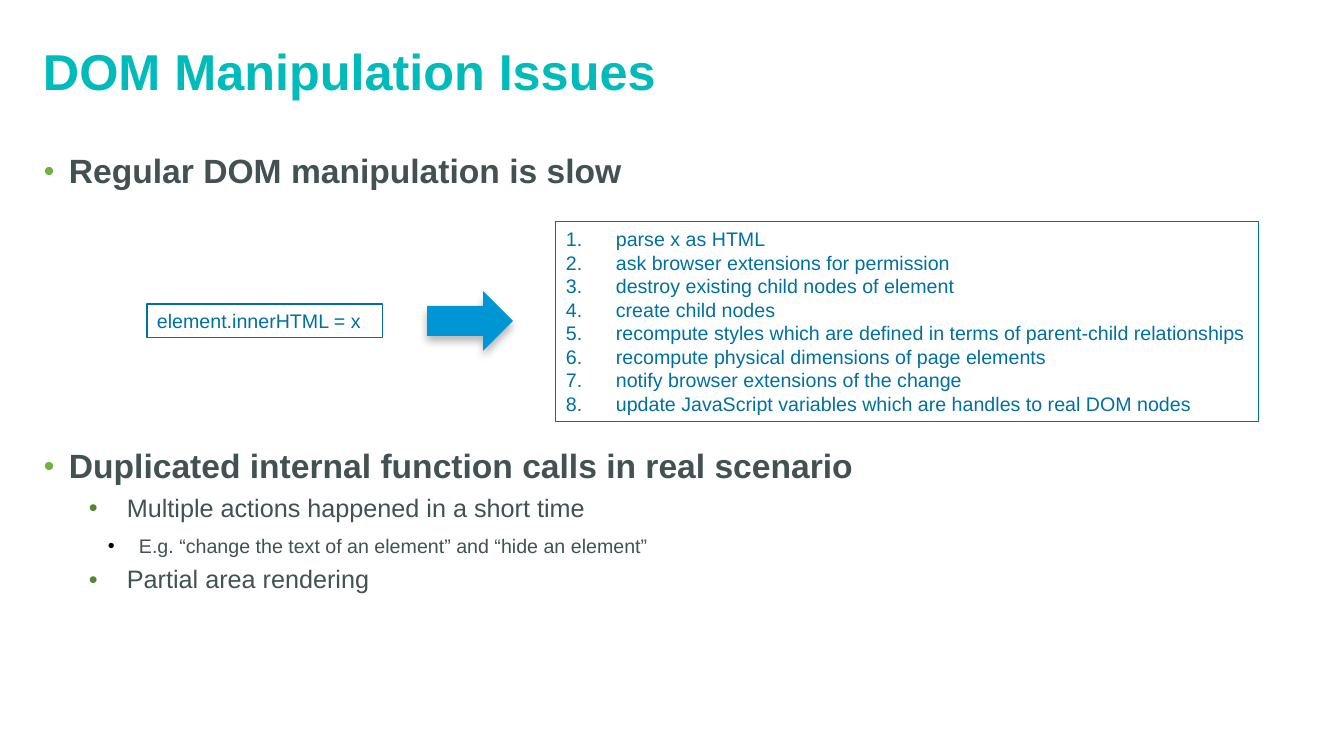
from dataclasses import dataclass
from typing import Optional

import pptx
import pptx.dml.color
import pptx.enum.shapes
import pptx.enum.text
import pptx.oxml
import pptx.oxml.ns
import pptx.util

SCALE = 914400 / 100.8


@dataclass(frozen=True)
class Theme:
    font: str = "Arial"
    title: str = "01BBBB"
    body: str = "435153"
    code: str = "0070A0"
    arrow: str = "0096D6"
    shade: str = "000000"
    huge: int = 36
    large: int = 24
    mid: int = 18
    small: int = 14


@dataclass(frozen=True)
class Box:
    left: int
    top: int
    width: int
    height: int


@dataclass(frozen=True)
class Style:
    size: int
    color: str
    bold: bool = False
    level: int = 0
    indent: int = 0
    hang: int = 0
    line: float = 1.0
    before: float = 0
    bullet: str = ""
    tint: Optional[str] = None
    ratio: int = 100


@dataclass(frozen=True)
class Item:
    text: str
    style: Style


THEME = Theme()
TITLE = Style(THEME.huge, THEME.title, bold=True, line=0.8)
HEAD = Style(THEME.large, THEME.body, True, 0, 25, 25, 0.95, 14.8, "•", "6DB344", 90)
POINT = Style(THEME.mid, THEME.body, False, 1, 83, 38, 0.95, 6, "•", "528633")
NOTE = Style(THEME.small, THEME.body, False, 2, 95, 31, 0.95, 8.4, "•", "000000")
CODE = Style(THEME.small, THEME.code)
STEP = Style(THEME.small, THEME.code, indent=50, hang=50, bullet="1.")

STEPS = [
    "parse x as HTML",
    "ask browser extensions for permission",
    "destroy existing child nodes of element",
    "create child nodes",
    "recompute styles which are defined in terms of parent-child relationships",
    "recompute physical dimensions of page elements",
    "notify browser extensions of the change",
    "update JavaScript variables which are handles to real DOM nodes",
]

TEXTS = [
    (Box(33, 47, 1261, 93), [Item("DOM Manipulation Issues", TITLE)]),
    (Box(34, 148, 1259, 52), [Item("Regular DOM manipulation is slow", HEAD)]),
    (Box(34, 443, 1259, 252), [
        Item("Duplicated internal function calls in real scenario", HEAD),
        Item("Multiple actions happened in a short time", POINT),
        Item("E.g. “change the text of an element” and “hide an element”", NOTE),
        Item("Partial area rendering", POINT),
    ]),
]
FRAMES = [
    (Box(147, 304, 236, 34), [Item("element.innerHTML = x", CODE)]),
    (Box(556, 222, 703, 200), [Item(step, STEP) for step in STEPS]),
]
ARROW = Box(427, 291, 86, 60)


def px(count: int) -> int:
    return round(count * SCALE)


def rgb(color: str) -> pptx.dml.color.RGBColor:
    return pptx.dml.color.RGBColor.from_string(color)


def place(box: Box) -> tuple[int, int, int, int]:
    return px(box.left), px(box.top), px(box.width), px(box.height)


def add_tag(parent, tag: str, **attrs: object):
    """Append a DrawingML element and return it."""
    child = parent.makeelement(pptx.oxml.ns.qn(f"a:{tag}"),
                               {key: str(val) for key, val in attrs.items()})
    parent.append(child)
    return child


def add_bullet(para, style: Style) -> None:
    props = para._p.get_or_add_pPr()
    props.set("marL", str(px(style.indent)))
    props.set("indent", str(-px(style.hang)))
    if style.tint:
        add_tag(add_tag(props, "buClr"), "srgbClr", val=style.tint)
    if style.ratio != 100:
        add_tag(props, "buSzPct", val=style.ratio * 1000)
    add_tag(props, "buFont", typeface=THEME.font)
    if style.bullet == "1.":
        add_tag(props, "buAutoNum", type="arabicPeriod")
    else:
        add_tag(props, "buChar", char=style.bullet)


def write(shape, items: list[Item]) -> None:
    frame = shape.text_frame
    frame.word_wrap = True
    frame.vertical_anchor = pptx.enum.text.MSO_ANCHOR.TOP
    for rank, item in enumerate(items):
        style = item.style
        para = frame.add_paragraph() if rank else frame.paragraphs[0]
        if style.bullet:
            add_bullet(para, style)
        para.level = style.level
        para.alignment = pptx.enum.text.PP_ALIGN.LEFT
        para.line_spacing = style.line
        para.space_before = pptx.util.Pt(style.before if rank else 0)
        run = para.add_run()
        run.text = item.text
        run.font.name = THEME.font
        run.font.size = pptx.util.Pt(style.size)
        run.font.bold = style.bold
        run.font.color.rgb = rgb(style.color)


def add_frame(slide, box: Box, items: list[Item]) -> None:
    kind = pptx.enum.shapes.MSO_SHAPE.RECTANGLE
    shape = slide.shapes.add_shape(kind, *place(box))
    shape.shadow.inherit = False
    shape.fill.background()
    shape.line.color.rgb = rgb(THEME.code)
    shape.line.width = pptx.util.Pt(0.75)
    write(shape, items)


def add_arrow(slide, box: Box) -> None:
    kind = pptx.enum.shapes.MSO_SHAPE.RIGHT_ARROW
    shape = slide.shapes.add_shape(kind, *place(box))
    shape.fill.solid()
    shape.fill.fore_color.rgb = rgb(THEME.arrow)
    shape.line.fill.background()
    shape.shadow.inherit = False
    effect = shape._element.spPr.find(pptx.oxml.ns.qn("a:effectLst"))
    shade = add_tag(effect, "outerShdw", blurRad=pptx.util.Pt(6),
                    dist=pptx.util.Pt(4), dir=90 * 60000, rotWithShape=0)
    add_tag(add_tag(shade, "srgbClr", val=THEME.shade), "alpha", val=27000)


def main() -> None:
    deck = pptx.Presentation()
    deck.slide_width, deck.slide_height = px(1344), px(756)
    slide = deck.slides.add_slide(deck.slide_layouts[6])
    for box, items in TEXTS:
        write(slide.shapes.add_textbox(*place(box)), items)
    for box, items in FRAMES:
        add_frame(slide, box, items)
    add_arrow(slide, ARROW)
    deck.save("out.pptx")


if __name__ == "__main__":
    main()
